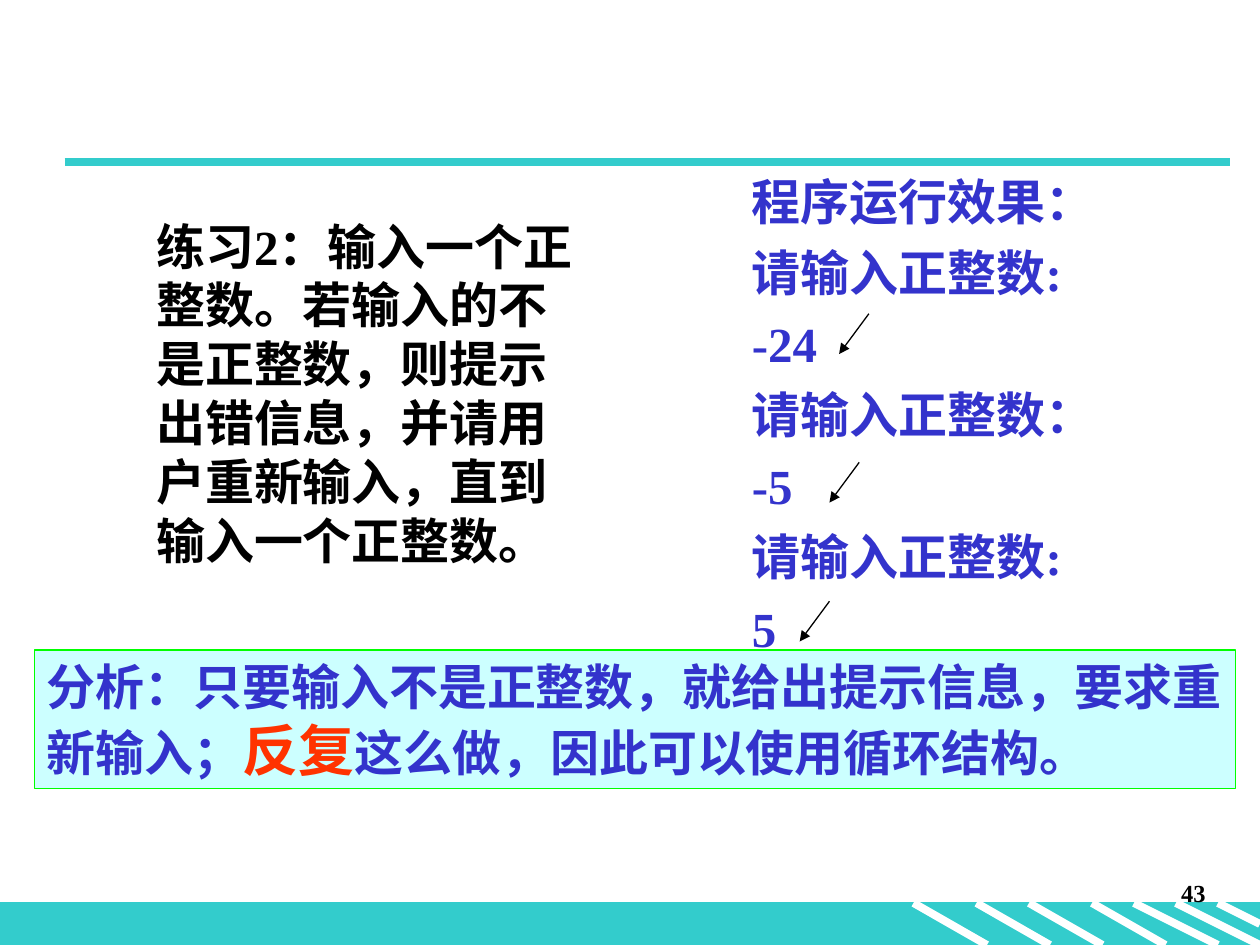
"""Build the exercise slide on re-prompting until a positive integer is entered."""
from lxml import etree
from pptx import Presentation
from pptx.dml.color import RGBColor
from pptx.enum import shapes, text
from pptx.oxml import ns
from pptx.util import Pt

TEAL = RGBColor(0x33, 0xCC, 0xCC)
WHITE = RGBColor(0xFF, 0xFF, 0xFF)
BLACK = RGBColor(0, 0, 0)
BLUE = RGBColor(0x33, 0x33, 0xCC)
RED = RGBColor(0xFF, 0x33, 0x00)
PALE_CYAN = RGBColor(0xCC, 0xFF, 0xFF)
GREEN = RGBColor(0, 0xFF, 0)
FONT = "Times New Roman"

WIDTH, HEIGHT = 720, 540
BAND_TOP = 516
STRIPES = [(558, 600, HEIGHT), (522, 564, HEIGHT), (588, 630, HEIGHT), (672, WIDTH, HEIGHT),
           (648, 696, HEIGHT), (696, WIDTH, 528), (624, 666, HEIGHT)]
ENTER_ARROWS = [(496.5, 179.3), (491, 264.2), (474, 343.6)]
ARROW_RUN, ARROW_DROP = 17, 23

EXERCISE = [[("练习2：输入一个正整数。若输入的不是正整数，则提示出错信息，并请用户重新输入，直到输入一个正整数。", 28, BLACK)]]
OUTPUT = [[(line, 28, BLUE)] for line in (
    "程序运行效果：", "请输入正整数:", "-24", "请输入正整数：", "-5", "请输入正整数:", "5")]
ANALYSIS = [[("分析：只要输入不是正整数，就给出提示信息，要求重新输入；", 28, BLUE),
             ("反复", 32, RED),
             ("这么做，因此可以使用循环结构。", 28, BLUE)]]
PAGE_NUMBER = [[("43", 14, BLACK)]]


def add_line(slide, start, end, color, width, arrow=False):
    line = slide.shapes.add_connector(
        shapes.MSO_CONNECTOR.STRAIGHT, *(Pt(value) for value in (*start, *end)))
    line.line.color.rgb = color
    line.line.width = Pt(width)
    if arrow:
        etree.SubElement(line.line._get_or_add_ln(), ns.qn("a:tailEnd"), type="triangle")
    etree.SubElement(line._element.spPr, ns.qn("a:effectLst"))


def add_box(slide, box, fill, outline):
    shape = slide.shapes.add_shape(
        shapes.MSO_SHAPE.RECTANGLE, *(Pt(value) for value in box))
    shape.shadow.inherit = False
    shape.fill.solid()
    shape.fill.fore_color.rgb = fill
    shape.line.color.rgb = outline
    shape.line.width = Pt(0.75)
    return shape


def write(shape, paragraphs, space_before=0, align=text.PP_ALIGN.LEFT,
          anchor=text.MSO_ANCHOR.TOP):
    frame = shape.text_frame
    frame.word_wrap = True
    frame.vertical_anchor = anchor
    for index, runs in enumerate(paragraphs):
        paragraph = frame.add_paragraph() if index else frame.paragraphs[0]
        paragraph.alignment = align
        paragraph.space_before = Pt(space_before)
        for content, size, color in runs:
            run = paragraph.add_run()
            run.text = content
            run.font.name = FONT
            run.font.size = Pt(size)
            run.font.bold = True
            run.font.color.rgb = color


def add_text(slide, box, paragraphs, **layout):
    shape = slide.shapes.add_textbox(*(Pt(value) for value in box))
    write(shape, paragraphs, **layout)


def main():
    presentation = Presentation()
    presentation.slide_width, presentation.slide_height = Pt(WIDTH), Pt(HEIGHT)
    slide = presentation.slides.add_slide(presentation.slide_layouts[6])

    add_box(slide, (0, BAND_TOP, WIDTH, HEIGHT - BAND_TOP), TEAL, TEAL)
    for left, right, bottom in STRIPES:
        add_line(slide, (left, BAND_TOP), (right, bottom), WHITE, 4.5)
    add_line(slide, (37, 92.6), (703, 92.6), TEAL, 4.5)

    add_text(slide, (546, 498, 150, 36), PAGE_NUMBER, space_before=8.8,
             align=text.PP_ALIGN.RIGHT)
    add_text(slide, (422.6, 94.5, 273, 363), OUTPUT, space_before=7)
    add_text(slide, (82.2, 116.7, 260.5, 215.3), EXERCISE, anchor=text.MSO_ANCHOR.MIDDLE)
    analysis = add_box(slide, (19.6, 371.5, 686.4, 79.2), PALE_CYAN, GREEN)
    write(analysis, ANALYSIS, space_before=7)

    for x, y in ENTER_ARROWS:
        add_line(slide, (x, y), (x - ARROW_RUN, y + ARROW_DROP), BLACK, 0.75, arrow=True)

    presentation.save("out.pptx")


if __name__ == "__main__":
    main()
